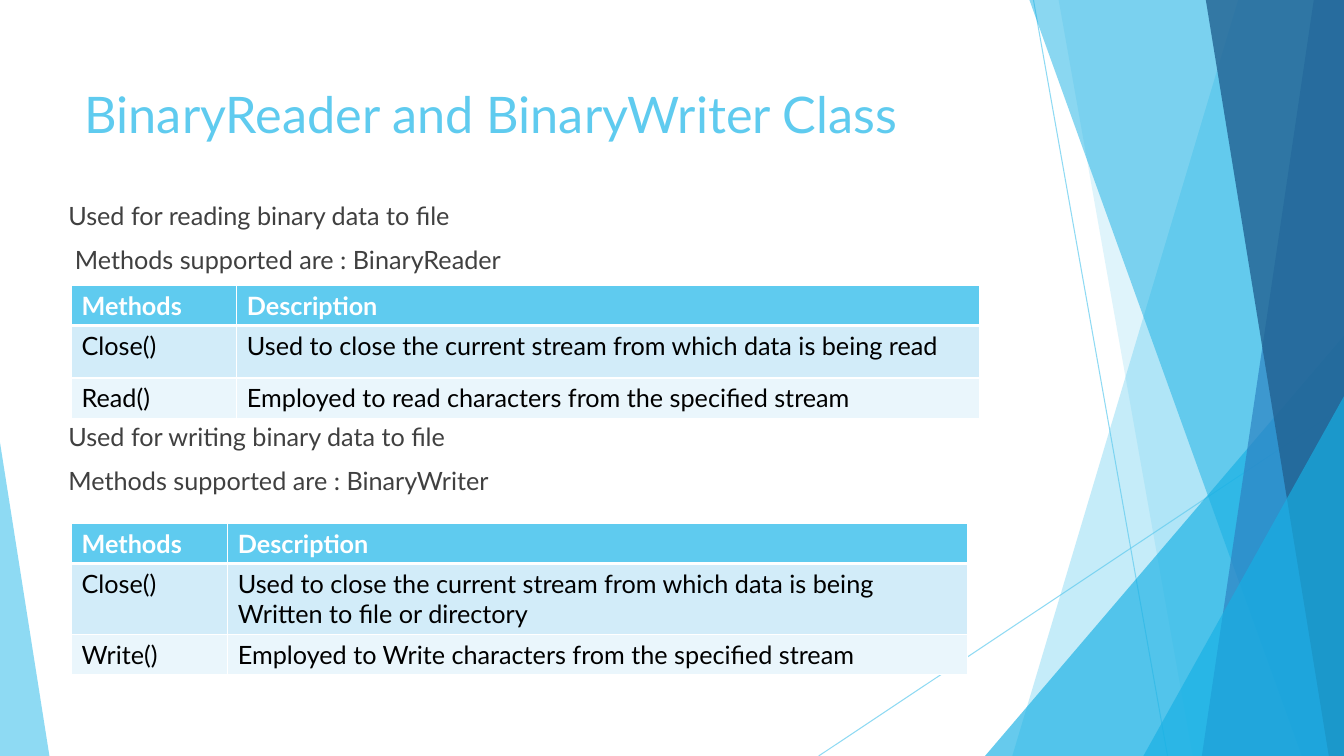
from lxml.etree import SubElement
from pptx import Presentation
from pptx.dml.color import RGBColor
from pptx.enum.shapes import MSO_CONNECTOR, MSO_SHAPE
from pptx.enum.text import MSO_ANCHOR, MSO_AUTO_SIZE, PP_ALIGN
from pptx.oxml.ns import qn
from pptx.util import Inches, Pt

COLOURS = {
    "sky": "5FCBEF", "cyan": "17B0E4", "blue": "2E83C3", "navy": "226292",
    "white": "FFFFFF", "black": "000000", "grey": "404040",
    "band dark": "D2ECF9", "band light": "EAF6FC",
}
WIDTH, HEIGHT = 13.33, 7.5


class SlideBuilder:
    """Holds the style and the current slide."""

    def __init__(self, slide, font="Lato"):
        self.slide = slide
        self.font = font

    def colour(self, name):
        return RGBColor.from_string(COLOURS[name])

    def set_alpha(self, element, percent):
        for colour in element.spPr.iter(qn("a:srgbClr")):
            SubElement(colour, qn("a:alpha"), val=str(percent * 1000))

    def paint(self, shape, colour, opacity):
        shape.shadow.inherit = False
        shape.fill.solid()
        shape.fill.fore_color.rgb = self.colour(colour)
        shape.line.fill.background()
        self.set_alpha(shape.element, opacity)

    def line(self, start, end):
        connector = self.slide.shapes.add_connector(
            MSO_CONNECTOR.STRAIGHT, *map(Inches, start + end))
        connector.line.color.rgb = self.colour("sky")
        connector.line.width = Pt(0.75)
        self.set_alpha(connector.element, 70)
        SubElement(connector.element.spPr, qn("a:effectLst"))

    def polygon(self, points, colour, opacity):
        corners = [(Inches(x), Inches(y)) for x, y in points]
        builder = self.slide.shapes.build_freeform(*corners[0])
        builder.add_line_segments(corners[1:], close=True)
        self.paint(builder.convert_to_shape(), colour, opacity)

    def triangle(self, box, apex, colour, opacity):
        shape = self.slide.shapes.add_shape(
            MSO_SHAPE.ISOSCELES_TRIANGLE, *map(Inches, box))
        shape.adjustments[0] = apex
        self.paint(shape, colour, opacity)

    def add_run(self, paragraph, text, size, colour, bold=False):
        paragraph.alignment = PP_ALIGN.LEFT
        run = paragraph.add_run()
        run.text = text
        run.font.name = self.font
        run.font.size = Pt(size)
        run.font.bold = bold
        run.font.color.rgb = self.colour(colour)

    def prepare_frame(self, shape):
        frame = shape.text_frame
        frame.word_wrap = True
        frame.auto_size = MSO_AUTO_SIZE.NONE
        frame.vertical_anchor = MSO_ANCHOR.TOP
        return frame

    def title(self, text, box):
        shape = self.slide.shapes.title
        shape.left, shape.top, shape.width, shape.height = map(Inches, box)
        frame = self.prepare_frame(shape)
        self.add_run(frame.paragraphs[0], text, 36, "sky")

    def text(self, lines, box):
        shape = self.slide.shapes.add_textbox(*map(Inches, box))
        frame = self.prepare_frame(shape)
        for index, line in enumerate(lines):
            paragraph = frame.add_paragraph() if index else frame.paragraphs[0]
            paragraph.space_after = Pt(10)
            self.add_run(paragraph, line, 18, "grey")

    def cell_borders(self, cell, is_header):
        properties = cell._tc.get_or_add_tcPr()
        for side in ("lnL", "lnR", "lnT", "lnB"):
            width = Pt(3) if is_header and side == "lnB" else Pt(1)
            border = SubElement(properties, qn(f"a:{side}"), w=str(width))
            fill = SubElement(border, qn("a:solidFill"))
            SubElement(fill, qn("a:srgbClr"), val=COLOURS["white"])

    def table(self, rows, left, top, widths, heights):
        table = self.slide.shapes.add_table(
            len(rows), len(widths), Inches(left), Inches(top),
            Inches(sum(widths)), Inches(sum(heights))).table
        for column, width in zip(table.columns, widths):
            column.width = Inches(width)
        fills = ("sky", "band dark", "band light")
        for index, (values, height) in enumerate(zip(rows, heights)):
            table.rows[index].height = Inches(height)
            is_header = index == 0
            for column, value in enumerate(values):
                cell = table.cell(index, column)
                self.cell_borders(cell, is_header)
                cell.fill.solid()
                cell.fill.fore_color.rgb = self.colour(fills[index])
                self.add_run(cell.text_frame.paragraphs[0], value, 18,
                             "white" if is_header else "black", is_header)


def main():
    presentation = Presentation()
    presentation.slide_width = Inches(WIDTH)
    presentation.slide_height = Inches(HEIGHT)
    slide = presentation.slides.add_slide(presentation.slide_layouts[5])
    builder = SlideBuilder(slide)

    # Background facets: each band runs from its left edge to the slide's right
    def band(top_x, bottom_x, colour, opacity):
        builder.polygon([(top_x, 0), (WIDTH, 0), (WIDTH, HEIGHT),
                         (bottom_x, HEIGHT)], colour, opacity)

    builder.line((10.25, 0), (11.58, HEIGHT))
    builder.line((WIDTH, 4.03), (8.12, HEIGHT))
    band(12.28, 10.04, "sky", 36)
    band(10.5, 11.83, "sky", 20)
    builder.triangle((9.77, 3.33, 3.56, 4.17), 1, "cyan", 66)
    band(10.21, 12.91, "cyan", 50)
    band(13.03, 11.92, "blue", 70)
    band(11.96, 13.18, "navy", 80)
    builder.triangle((11.34, 3.93, 1.99, 3.57), 1, "cyan", 66)
    builder.triangle((0, 4.39, 0.49, 3.11), 0, "sky", 70)

    # Title
    builder.title("BinaryReader and BinaryWriter Class", (0.74, 0.77, 9.4, 1.44))

    # Reader and writer sections
    header = ("Methods", "Description")
    builder.text(["Used for reading binary data to file",
                  " Methods supported are : BinaryReader"], (0.58, 1.94, 9.4, 0.9))
    builder.table([
        header,
        ("Close()", "Used to close the current stream from which data is being read"),
        ("Read()", "Employed to read characters from the specified stream"),
    ], 0.71, 2.83, (1.64, 7.37), (0.4, 0.52, 0.4))

    builder.text(["Used for writing binary data to file",
                  "Methods supported are : BinaryWriter"], (0.58, 4.13, 9.4, 0.9))
    builder.table([
        header,
        ("Close()", "Used to close the current stream from which data is being "
                    "Written to file or directory"),
        ("Write()", "Employed to Write characters from the specified stream"),
    ], 0.71, 5.19, (1.55, 7.34), (0.4, 0.7, 0.4))

    presentation.save("out.pptx")


if __name__ == "__main__":
    main()
